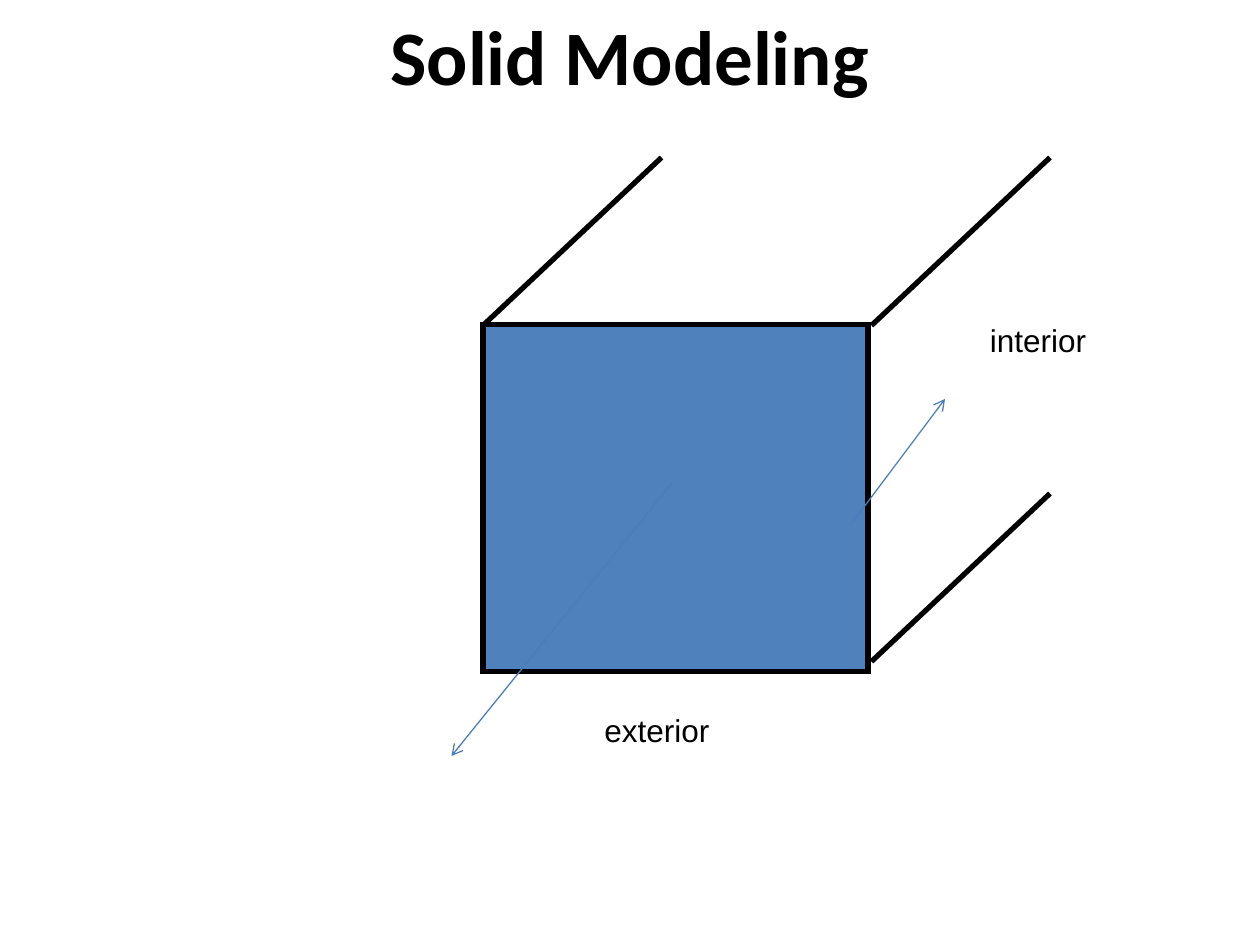
from dataclasses import dataclass

from lxml.etree import SubElement
from pptx import Presentation
from pptx.dml.color import RGBColor
from pptx.enum.shapes import MSO_CONNECTOR, MSO_SHAPE
from pptx.enum.text import MSO_ANCHOR, PP_ALIGN
from pptx.oxml.ns import qn
from pptx.util import Pt


@dataclass(frozen=True)
class Theme:
    ink: RGBColor = RGBColor(0, 0, 0)
    face: RGBColor = RGBColor(0x4F, 0x81, 0xBD)
    arrow: RGBColor = RGBColor(0x4A, 0x7E, 0xBB)
    title_font: str = "Calibri"
    label_font: str = "Arial"
    title_size: int = 44
    label_size: int = 18
    edge_width: float = 3
    arrow_width: float = 0.75


THEME = Theme()


def add_text(slide, text, left, top, width, height, font, size):
    box = slide.shapes.add_textbox(Pt(left), Pt(top), Pt(width), Pt(height))
    frame = box.text_frame
    frame.word_wrap = True
    frame.vertical_anchor = MSO_ANCHOR.TOP
    span = frame.paragraphs[0].add_run()
    span.text = text
    span.font.name = font
    span.font.size = Pt(size)
    span.font.color.rgb = THEME.ink
    return box


def add_title(slide, text):
    box = add_text(slide, text, 0, 0, 720, 116, THEME.title_font, THEME.title_size)
    box.text_frame.margin_top = Pt(4.8)
    para = box.text_frame.paragraphs[0]
    para.alignment = PP_ALIGN.CENTER
    para.runs[0].font.bold = True


def add_label(slide, text, left, top, width):
    box = add_text(slide, text, left, top, width, 29, THEME.label_font, THEME.label_size)
    box.text_frame.margin_right = Pt(3)


def add_face(slide, left, top, width, height):
    face = slide.shapes.add_shape(
        MSO_SHAPE.RECTANGLE, Pt(left), Pt(top), Pt(width), Pt(height))
    face.shadow.inherit = False
    face.fill.solid()
    face.fill.fore_color.rgb = THEME.face
    face.line.color.rgb = THEME.ink
    face.line.width = Pt(THEME.edge_width)
    SubElement(face.line._get_or_add_ln(), qn("a:miter"), lim="800000")


def add_line(slide, start, end, color, width):
    line = slide.shapes.add_connector(
        MSO_CONNECTOR.STRAIGHT, *(Pt(value) for value in (*start, *end)))
    line.line.color.rgb = color
    line.line.width = Pt(width)
    SubElement(line._element.spPr, qn("a:effectLst"))
    return line


def add_arrow(slide, start, end):
    arrow = add_line(slide, start, end, THEME.arrow, THEME.arrow_width)
    SubElement(arrow.line._get_or_add_ln(), qn("a:tailEnd"), type="arrow")


def add_depth_edge(slide, x, y):
    add_line(slide, (x, y), (x + 102, y - 96), THEME.ink, THEME.edge_width)


def main():
    deck = Presentation()
    deck.slide_width, deck.slide_height = Pt(720), Pt(540)
    slide = deck.slides.add_slide(deck.slide_layouts[6])

    add_title(slide, "Solid Modeling")
    add_face(slide, 276, 185.6, 220, 198)
    add_arrow(slide, (486, 300), (540, 228))
    add_label(slide, "interior", 558.5, 180, 70)
    add_arrow(slide, (384, 276), (258, 432))
    add_label(slide, "exterior", 338.3, 403, 75)
    for corner in ((276, 186), (498, 186), (498, 378)):
        add_depth_edge(slide, *corner)

    deck.save("out.pptx")


if __name__ == "__main__":
    main()
